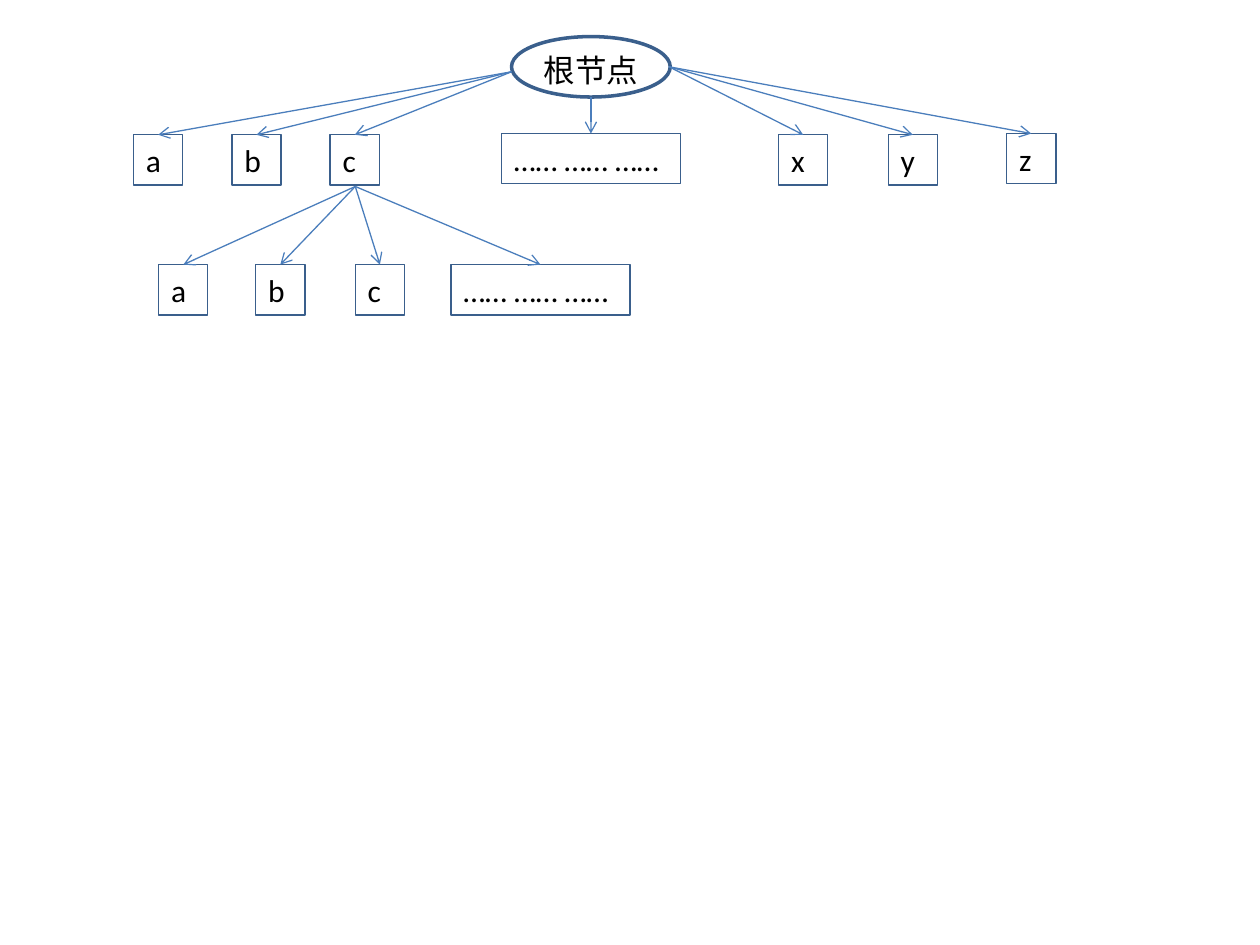
from pptx import Presentation
from pptx.dml.color import RGBColor
from pptx.enum.shapes import MSO_CONNECTOR, MSO_SHAPE
from pptx.enum.text import MSO_ANCHOR, MSO_AUTO_SIZE, PP_ALIGN
from pptx.oxml.ns import qn
from pptx.util import Inches, Pt
from lxml.etree import SubElement

THEME = {
    "font": "Calibri",
    "size": Pt(18),
    "text": RGBColor(0x00, 0x00, 0x00),
    "border": RGBColor(0x3A, 0x5F, 0x8C),
    "arrow": RGBColor(0x4B, 0x7E, 0xBC),
    "thin": Pt(0.75),
    "thick": Pt(2),
}
NODE_WIDTH, WIDE_WIDTH, NODE_HEIGHT = 0.39, 1.42, 0.4
ELLIPSIS = "…… …… ……"


def write_label(shape, text, align):
    """Put one line of themed text at the top of a shape."""
    frame = shape.text_frame
    frame.word_wrap = True
    frame.auto_size = MSO_AUTO_SIZE.SHAPE_TO_FIT_TEXT
    frame.vertical_anchor = MSO_ANCHOR.TOP
    frame.margin_left = frame.margin_right = Inches(0.1)
    frame.margin_top = frame.margin_bottom = Inches(0.05)
    para = frame.paragraphs[0]
    para.alignment = align
    span = para.add_run()
    span.text = text
    span.font.name = THEME["font"]
    span.font.size = THEME["size"]
    span.font.color.rgb = THEME["text"]


def add_outline(page, kind, left, top, width, height, weight):
    """Add an unfilled shape with a border and return it."""
    shape = page.shapes.add_shape(
        kind, Inches(left), Inches(top), Inches(width), Inches(height))
    shape.shadow.inherit = False
    shape.fill.background()
    shape.line.color.rgb = THEME["border"]
    shape.line.width = weight
    return shape


deck = Presentation()
deck.slide_width, deck.slide_height = Inches(10), Inches(7.5)
page = deck.slides.add_slide(deck.slide_layouts[6])

# Root node with its label
add_outline(page, MSO_SHAPE.OVAL, 4.06, 0.29, 1.26, 0.48, THEME["thick"])
root_label = page.shapes.add_textbox(
    Inches(4.06), Inches(0.36), Inches(1.26), Inches(0.4))
write_label(root_label, "根节点", PP_ALIGN.CENTER)

# Each group: the point its arrows leave from, then (label, left, top) per child
root_left, root_bottom, root_right = (4.06, 0.57), (4.69, 0.77), (5.31, 0.53)
parent_c = (2.82, 1.48)
groups = [
    (root_left, [("a", 1.06, 1.07), ("b", 1.84, 1.07), ("c", 2.62, 1.07)]),
    (root_bottom, [(ELLIPSIS, 3.98, 1.06)]),
    (root_right, [("x", 6.18, 1.07), ("y", 7.05, 1.07), ("z", 7.99, 1.06)]),
    (parent_c, [("a", 1.26, 2.1), ("b", 2.03, 2.1), ("c", 2.82, 2.1),
                (ELLIPSIS, 3.58, 2.1)]),
]

for (start_x, start_y), children in groups:
    for label, left, top in children:
        width = WIDE_WIDTH if label == ELLIPSIS else NODE_WIDTH
        box = add_outline(page, MSO_SHAPE.RECTANGLE, left, top, width,
                          NODE_HEIGHT, THEME["thin"])
        write_label(box, label, PP_ALIGN.LEFT)

        arrow = page.shapes.add_connector(
            MSO_CONNECTOR.STRAIGHT, Inches(start_x), Inches(start_y),
            Inches(left + width / 2), Inches(top))
        arrow.line.color.rgb = THEME["arrow"]
        arrow.line.width = THEME["thin"]
        SubElement(arrow.line._get_or_add_ln(), qn("a:tailEnd"), type="arrow")
        SubElement(arrow._element.spPr, qn("a:effectLst"))

deck.save("out.pptx")
